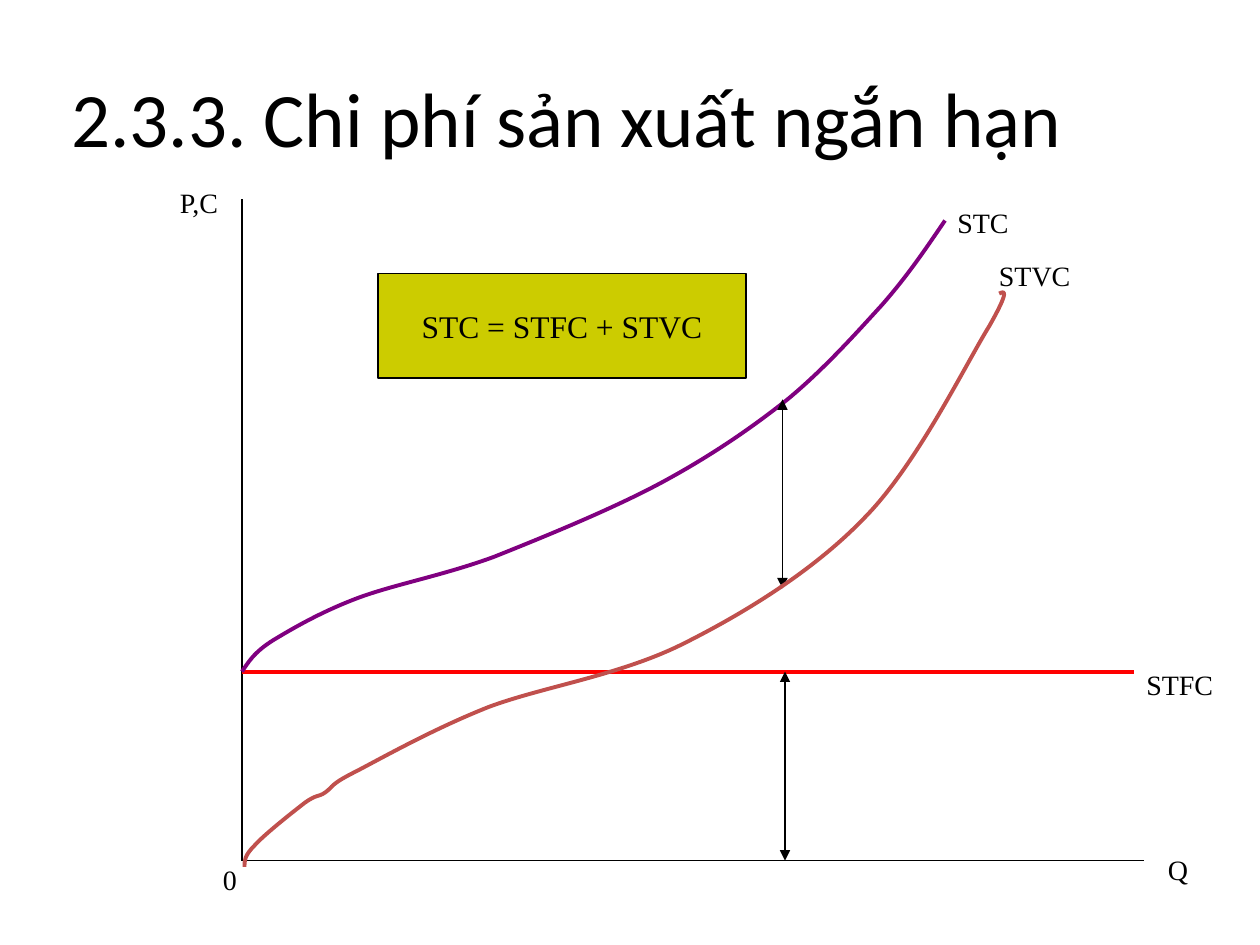
from lxml import etree
from pptx import Presentation
from pptx.dml.color import RGBColor
from pptx.enum import shapes, text
from pptx.oxml import ns
from pptx.util import Inches, Pt

BLACK = RGBColor(0, 0, 0)
RED = RGBColor(0xFF, 0, 0)
PURPLE = RGBColor(0x80, 0, 0x80)
BRICK = RGBColor(0xC0, 0x50, 0x4D)
OLIVE = RGBColor(0xCC, 0xCC, 0)

ORIGIN_X, ORIGIN_Y, FIXED_COST_Y = 1.92, 6.83, 5.33

LABELS = [
    ("P,C", 1.33, 1.42, 0.67),
    ("STC", 7.5, 1.58, 0.67),
    ("STVC", 7.83, 2, 0.92),
    ("STFC", 9, 5.25, 1),
    ("Q", 9.17, 6.72, 0.67),
    ("0", 1.67, 6.8, 0.67),
]
STC_CURVE = [
    (1.92, 5.33), (1.97, 5.26), (2.01, 5.18), (2.17, 5.08), (2.32, 4.99), (2.54, 4.86),
    (2.83, 4.75), (3.12, 4.64), (3.51, 4.57), (3.92, 4.42), (4.32, 4.26), (4.86, 4.04),
    (5.25, 3.83), (5.64, 3.62), (5.96, 3.4), (6.25, 3.17), (6.54, 2.93), (6.79, 2.65),
    (7, 2.42), (7.21, 2.18), (7.35, 1.97), (7.5, 1.75),
]
STVC_CURVE = [
    (1.94, 6.88), (1.94, 6.83), (1.94, 6.79), (2.02, 6.71), (2.1, 6.62), (2.33, 6.44),
    (2.42, 6.37), (2.52, 6.3), (2.52, 6.33), (2.58, 6.29), (2.65, 6.24), (2.61, 6.23),
    (2.83, 6.12), (3.04, 6.01), (3.45, 5.78), (3.88, 5.61), (4.31, 5.45), (4.92, 5.36),
    (5.42, 5.11), (5.92, 4.86), (6.47, 4.52), (6.87, 4.1), (7.28, 3.68), (7.67, 2.88),
    (7.85, 2.59), (8.02, 2.29), (7.97, 2.31), (7.93, 2.33),
]


def write(tf, content, size=16, font="Times New Roman", align=text.PP_ALIGN.LEFT,
          anchor=text.MSO_ANCHOR.TOP, wrap=True):
    """Put one formatted paragraph in a text frame."""
    tf.word_wrap = wrap
    tf.vertical_anchor = anchor
    p = tf.paragraphs[0]
    p.alignment = align
    r = p.add_run()
    r.text = content
    r.font.size = Pt(size)
    r.font.name = font
    r.font.color.rgb = BLACK


def add_title(slide, content):
    """Fill and place the title placeholder."""
    sp = slide.shapes.title
    sp.left, sp.top, sp.width, sp.height = Inches(0), Inches(0.3), Inches(9), Inches(1.25)
    write(sp.text_frame, content, size=44, font="Calibri",
          align=text.PP_ALIGN.CENTER, anchor=text.MSO_ANCHOR.MIDDLE)


def add_label(slide, content, x, y, w):
    """Add a text box naming an axis or a curve."""
    sp = slide.shapes.add_textbox(Inches(x), Inches(y), Inches(w), Inches(0.37))
    write(sp.text_frame, content)
    sp.text_frame.auto_size = text.MSO_AUTO_SIZE.SHAPE_TO_FIT_TEXT


def add_line(slide, x1, y1, x2, y2, color=BLACK, width=0.75, arrows=False):
    """Add a straight line, optionally with an arrowhead at both ends."""
    cx = slide.shapes.add_connector(shapes.MSO_CONNECTOR.STRAIGHT, Inches(x1), Inches(y1),
                                    Inches(x2), Inches(y2))
    cx.line.color.rgb = color
    cx.line.width = Pt(width)
    if arrows:
        ln = cx.line._get_or_add_ln()
        for tag in ("a:headEnd", "a:tailEnd"):
            etree.SubElement(ln, ns.qn(tag), type="triangle")
    etree.SubElement(cx._element.spPr, ns.qn("a:effectLst"))


def add_curve(slide, points, color):
    """Add an open outline of cubic Bézier pieces, three points to each."""
    start, *rest = [(Inches(x), Inches(y)) for x, y in points]
    builder = slide.shapes.build_freeform(*start)
    builder.add_line_segments(rest, close=False)
    sp = builder.convert_to_shape()
    sp.shadow.inherit = False
    sp.fill.background()
    sp.line.color.rgb = color
    sp.line.width = Pt(2.25)
    segments = list(sp._element.iter(ns.qn("a:lnTo")))
    outline = segments[0].getparent()
    for i in range(0, len(segments), 3):
        bezier = etree.SubElement(outline, ns.qn("a:cubicBezTo"))
        for segment in segments[i:i + 3]:
            bezier.append(segment[0])
            outline.remove(segment)


def add_formula(slide, content):
    """Add the filled box with the cost identity."""
    sp = slide.shapes.add_shape(shapes.MSO_SHAPE.FLOWCHART_PROCESS, Inches(3), Inches(2.17),
                                Inches(2.92), Inches(0.83))
    sp.shadow.inherit = False
    sp.fill.solid()
    sp.fill.fore_color.rgb = OLIVE
    sp.line.color.rgb = BLACK
    sp.line.width = Pt(0.75)
    write(sp.text_frame, content, size=18, align=text.PP_ALIGN.CENTER,
          anchor=text.MSO_ANCHOR.MIDDLE, wrap=False)


def main():
    """Build the short-run cost slide."""
    prs = Presentation()
    prs.slide_width, prs.slide_height = Inches(10), Inches(7.5)
    slide = prs.slides.add_slide(prs.slide_layouts[5])
    add_title(slide, "2.3.3. Chi phí sản xuất ngắn hạn")
    add_line(slide, ORIGIN_X, 1.58, ORIGIN_X, ORIGIN_Y)
    add_line(slide, ORIGIN_X, ORIGIN_Y, 9.08, ORIGIN_Y)
    add_line(slide, ORIGIN_X, FIXED_COST_Y, 9, FIXED_COST_Y, color=RED, width=2.25)
    for label in LABELS:
        add_label(slide, *label)
    add_curve(slide, STC_CURVE, PURPLE)
    add_formula(slide, "STC = STFC + STVC")
    add_line(slide, 6.23, FIXED_COST_Y, 6.23, ORIGIN_Y, arrows=True)
    add_line(slide, 6.21, 3.17, 6.21, 4.67, arrows=True)
    add_curve(slide, STVC_CURVE, BRICK)
    prs.save("out.pptx")


if __name__ == "__main__":
    main()
